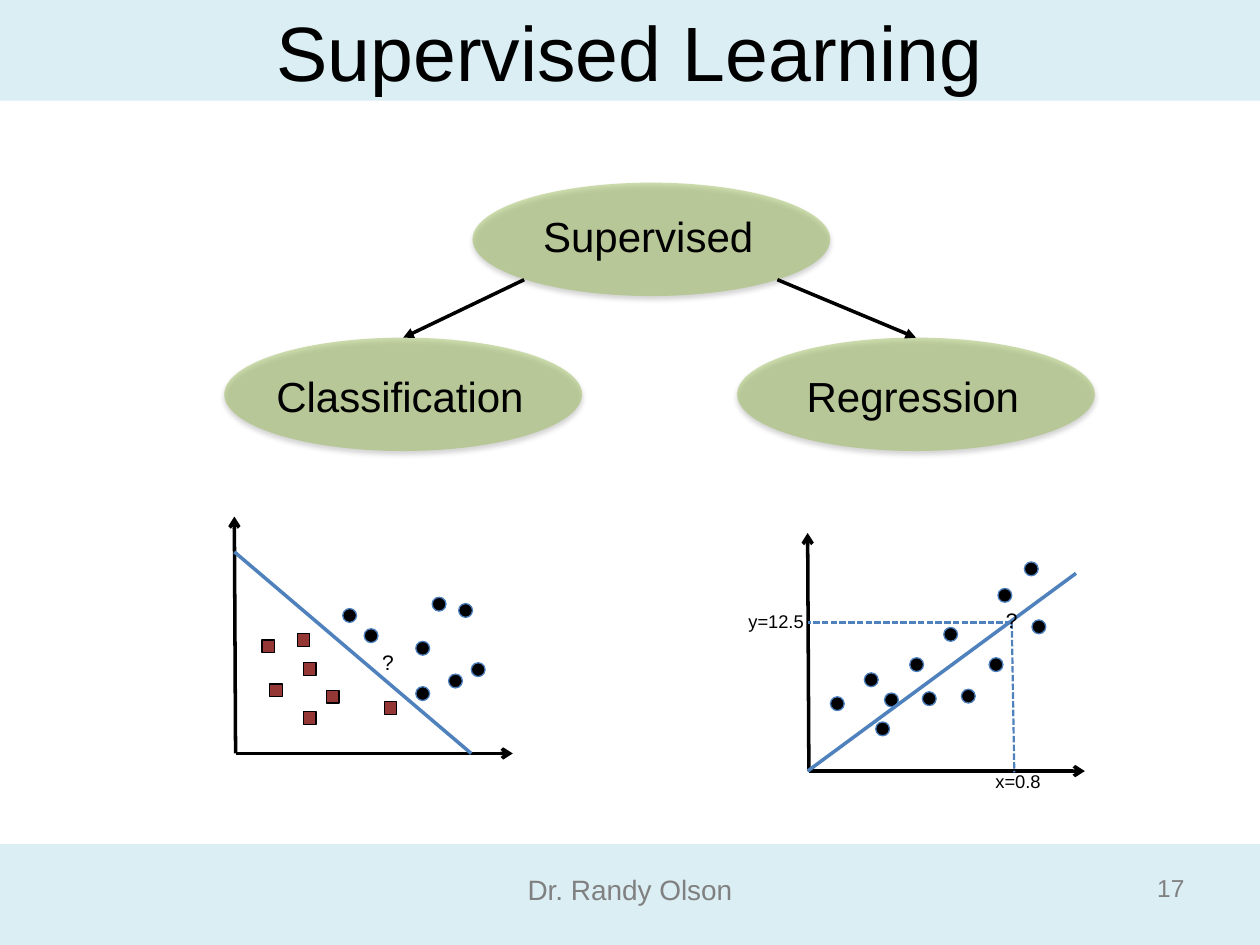
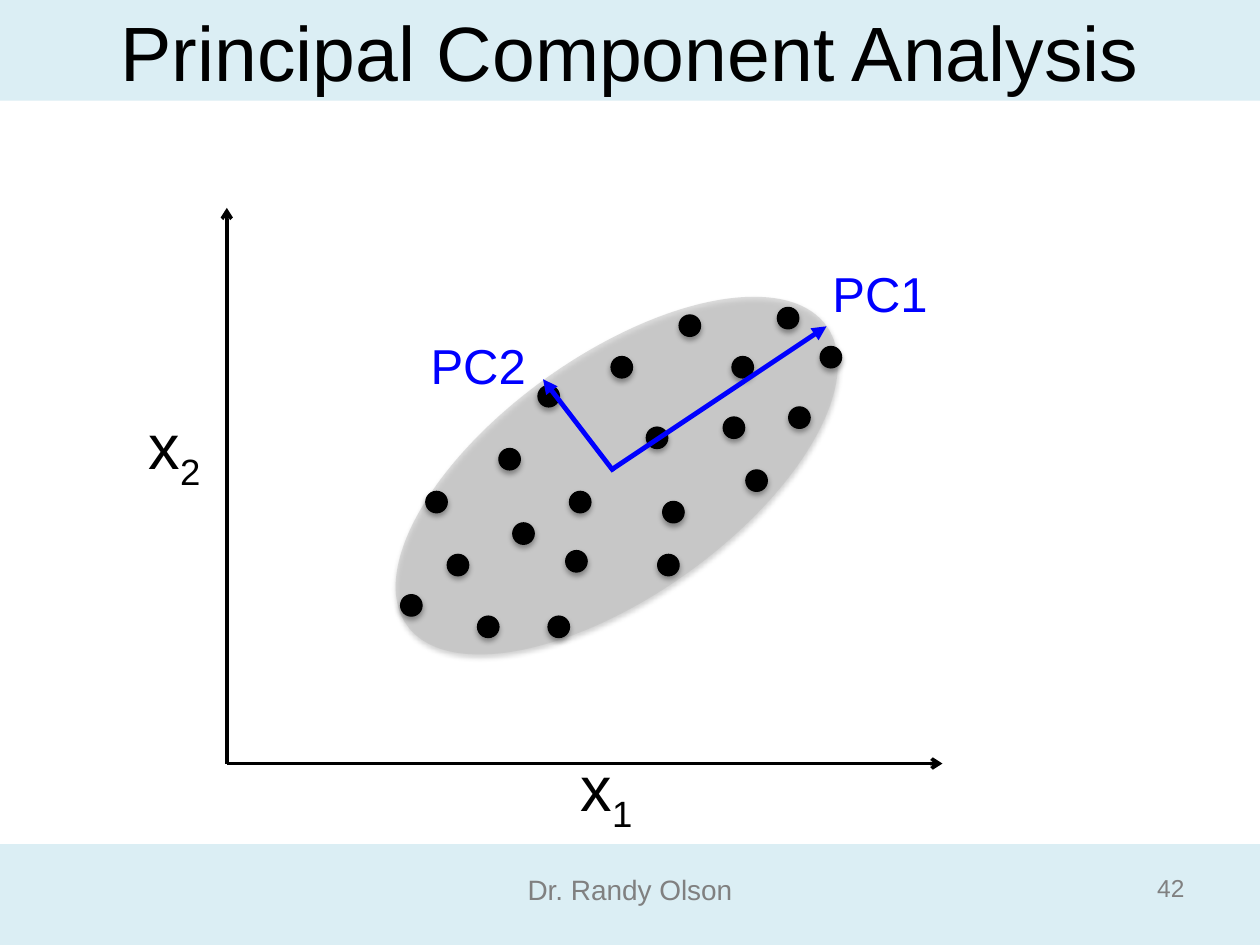
from pptx import Presentation
from pptx.dml.color import RGBColor
from pptx.enum.dml import MSO_LINE
from pptx.enum.shapes import MSO_CONNECTOR, MSO_SHAPE
from pptx.enum.text import MSO_ANCHOR, MSO_AUTO_SIZE, PP_ALIGN
from pptx.oxml.ns import qn
from pptx.util import Inches, Pt
from lxml.etree import SubElement

COLORS = {
    "band": "DBEEF4", "footer": "808080", "black": "000000", "node": "9BBB59",
    "trend": "4F81BD", "dot_line": "4B7EBC", "square": "953735",
    "cloud": "BFBFBF", "component": "0000FF",
}
FONT = "Arial"
TITLE_BOX = (0.5, -0.22, 9, 1.25)
NODE_SIZE = (2.84, 0.9)

CLASS_DOTS = [(1.44, 1.35), (1.7, 1.25), (1.44, 0.99), (1.57, 0.64),
              (1.78, 0.69), (1.88, 1.16), (0.86, 0.73), (1.03, 0.89)]
CLASS_SQUARES = [(0.22, 0.98), (0.28, 1.33), (0.55, 1.16), (1.19, 1.47),
                 (0.5, 0.93), (0.73, 1.38), (0.55, 1.55)]
REGRESSION_DOTS = [(0.18, 1.3), (0.45, 1.11), (0.61, 1.27), (0.81, 0.99),
                   (0.91, 1.26), (1.08, 0.75), (1.44, 0.99), (1.51, 0.44),
                   (1.22, 1.24), (1.78, 0.69), (1.72, 0.23), (0.54, 1.5)]
PCA_DOTS = [(1.75, 2.75), (2.16, 1.91), (3.05, 1.18), (4.01, 1.18), (3.33, 1.74),
            (3.42, 2.75), (4.12, 2.08), (4.46, 1.58), (4.71, 1.1), (4.37, 0.79),
            (3.59, 0.85), (2.47, 1.41), (2.55, 3.24), (2.72, 2.25), (3.46, 2.33),
            (2.69, 2.72), (2.27, 2.5), (1.99, 3.24), (1.38, 3.07), (1.58, 2.25),
            (3.94, 1.66)]


def rgb(name):
    """Return the named colour."""
    return RGBColor.from_string(COLORS[name])


def inches(*values):
    """Convert numbers to lengths."""
    return [Inches(value) for value in values]


def set_values(target, values):
    """Set attributes from a dict."""
    for name, value in values.items():
        setattr(target, name, value)


def format_text(frame, text, size, color="black", align=PP_ALIGN.CENTER):
    """Write one formatted paragraph in a text frame."""
    paragraph = frame.paragraphs[0]
    paragraph.alignment = align
    run = paragraph.add_run()
    run.text = text
    set_values(run.font, {"name": FONT, "size": Pt(size)})
    run.font.color.rgb = rgb(color)
    return paragraph


def add_label(slide, box, text, size, color="black", subscript="", **options):
    """Add a text box, with an optional subscript."""
    label = slide.shapes.add_textbox(*inches(*box))
    frame = label.text_frame
    align = options.pop("align", PP_ALIGN.CENTER)
    set_values(frame, {"word_wrap": True,
                       "auto_size": MSO_AUTO_SIZE.SHAPE_TO_FIT_TEXT} | options)
    format_text(frame, text, size, color, align)
    if subscript:
        format_text(frame, subscript, size, color, align)
        list(label.element.iter(qn("a:rPr")))[-1].set("baseline", "-25000")
    return label


def add_shadow(shape):
    """Give a shape a soft shadow below it."""
    effects = shape.element.spPr.find(qn("a:effectLst"))
    shadow = SubElement(effects, qn("a:outerShdw"), blurRad=str(Pt(3.1)),
                        dist=str(Pt(1.8)), dir="5400000", rotWithShape="0")
    color = SubElement(shadow, qn("a:srgbClr"), val=COLORS["black"])
    SubElement(color, qn("a:alpha"), val="35000")


def add_figure(slide, kind, box, fill, line=None, alpha=None, shadow=False):
    """Add a filled preset shape."""
    shape = slide.shapes.add_shape(kind, *inches(*box))
    shape.shadow.inherit = False
    shape.fill.solid()
    shape.fill.fore_color.rgb = rgb(fill)
    if alpha:
        color = shape.element.spPr.find(qn("a:solidFill"))[0]
        SubElement(color, qn("a:alpha"), val=str(alpha * 1000))
    if line:
        shape.line.color.rgb = rgb(line)
        shape.line.width = Pt(0.75)
    else:
        shape.line.fill.background()
    if shadow:
        add_shadow(shape)
    return shape


def add_line(slide, start, end, color="black", width=2, tail=None, dash=None):
    """Add a straight line with an optional arrowhead."""
    connector = slide.shapes.add_connector(
        MSO_CONNECTOR.STRAIGHT, *inches(*start, *end))
    connector.line.color.rgb = rgb(color)
    connector.line.width = Pt(width)
    if dash:
        connector.line.dash_style = dash
    properties = connector.element.spPr
    if tail:
        SubElement(properties.find(qn("a:ln")), qn("a:tailEnd"), type=tail)
    SubElement(properties, qn("a:effectLst"))
    return connector


def add_axes(slide, left, top, width, height, lean=0.0):
    """Draw two arrows from the lower left corner of a box."""
    origin = (left + lean, top + height)
    for end in ((left, top), (left + width, top + height)):
        add_line(slide, origin, end, tail="arrow")


def add_markers(slide, left, top, points, size, kind=MSO_SHAPE.OVAL,
                fill="black", line="dot_line", shadow=False):
    """Scatter equal markers relative to a corner."""
    for x, y in points:
        add_figure(slide, kind, (left + x, top + y, size, size), fill, line,
                   shadow=shadow)


def add_node(slide, left, top, text, text_top):
    """Draw one named ellipse of the tree."""
    node = add_figure(slide, MSO_SHAPE.OVAL, (left, top, *NODE_SIZE), "node",
                      alpha=49, shadow=True)
    add_label(slide, (left + 0.03, top + text_top, 2.73, 0.5), text, 24)
    return node


def add_tree(slide, left, top):
    """Draw the root and its two branches."""
    add_node(slide, left + 1.97, top, "Supervised", 0.17)
    for offset, text, start in ((0, "Classification", 2.38),
                                (4.07, "Regression", 4.39)):
        child = add_node(slide, left + offset, top + 1.23, text, 0.21)
        arrow = add_line(slide, (left + start, top + 0.77),
                         (left + offset + NODE_SIZE[0] / 2, top + 1.23),
                         tail="triangle")
        arrow.end_connect(child, 0)


def add_classification_plot(slide, left, top, width, height):
    """Draw two classes and the line between them."""
    add_axes(slide, left, top, width, height, lean=0.01)
    add_markers(slide, left, top, CLASS_DOTS, 0.11)
    add_line(slide, (left, top + 0.28), (left + 1.88, top + height), "trend")
    add_markers(slide, left, top, CLASS_SQUARES, 0.1, MSO_SHAPE.RECTANGLE,
                "square", "black")
    add_label(slide, (left + 1.04, top + 1.01, 0.36, 0.3), "?", 12)


def add_regression_plot(slide, left, top, width, height):
    """Draw points, their trend and one predicted value."""
    add_axes(slide, left, top, width, height, lean=0.01)
    add_markers(slide, left, top, REGRESSION_DOTS, 0.11)
    add_line(slide, (left, top + height), (left + 2.13, top + 0.32), "trend")
    for x, y in ((1.64, 1.9), (0, 0.71)):
        add_line(slide, (left + 1.62, top + 0.71), (left + x, top + y), "trend",
                 1.25, dash=MSO_LINE.SQUARE_DOT)
    for x, y, text in ((1, 1.83, "x=0.8"), (-0.92, 0.56, "y=12.5")):
        add_label(slide, (left + x, top + y, 1.34, 0.29), text, 10.5)
    add_label(slide, (left + 1.44, top + 0.54, 0.36, 0.3), "?", 12)


def add_pca_plot(slide, left, top, width, height):
    """Draw a cloud of points with its two components."""
    add_axes(slide, left, top, width, height)
    cloud = add_figure(slide, MSO_SHAPE.OVAL, (left + 1.05, top + 1.17, 4.09, 1.91),
                       "cloud", alpha=52, shadow=True)
    cloud.rotation = 324.5
    add_markers(slide, left, top, PCA_DOTS, 0.17, line="black", shadow=True)
    for x, y, index in ((2.46, 4.24, "1"), (-0.97, 1.53, "2")):
        add_label(slide, (left + x, top + y, 1.11, 0.71), "x", 36, subscript=index)
    for start, end, corner, text in (
            ((3.05, 2.08), (4.76, 0.94), (4.63, 0.39), "PC1"),
            ((3.07, 2.09), (2.51, 1.36), (1.44, 0.96), "PC2")):
        add_line(slide, (left + start[0], top + start[1]),
                 (left + end[0], top + end[1]), "component", 2.75, "triangle")
        add_label(slide, (left + corner[0], top + corner[1], 1.11, 0.57), text, 28,
                  "component")


def add_layout_bands(layout, slide):
    """Build the bands and footer once and move them to the layout."""
    parts = [add_figure(slide, MSO_SHAPE.RECTANGLE, (0, top, 10, 0.8), "band")
             for top in (6.7, 0)]
    parts.append(add_label(slide, (0.5, 6.88, 9, 0.37), "Dr. Randy Olson", 16,
                           "footer"))
    for position, part in enumerate(parts, 2):
        layout.element.cSld.spTree.insert(position, part.element)


def start_slide(presentation, layout, title, number):
    """Add a slide with its title and number."""
    slide = presentation.slides.add_slide(layout)
    shape = slide.shapes.title
    set_values(shape, dict(zip(("left", "top", "width", "height"),
                               inches(*TITLE_BOX))))
    shape.text_frame.vertical_anchor = MSO_ANCHOR.MIDDLE
    format_text(shape.text_frame, title, 44)
    add_label(slide, (8.74, 6.84, 0.76, 0.41), number, 14, "footer",
              align=PP_ALIGN.RIGHT, vertical_anchor=MSO_ANCHOR.MIDDLE,
              auto_size=MSO_AUTO_SIZE.NONE)
    return slide


def main():
    """Build and save the slides."""
    presentation = Presentation()
    set_values(presentation, {"slide_width": Inches(10), "slide_height": Inches(7.5)})
    layout = presentation.slide_layouts[5]

    slide = start_slide(presentation, layout, "Supervised Learning", "17")
    add_layout_bands(layout, slide)
    add_tree(slide, 1.78, 1.45)
    add_regression_plot(slide, 6.41, 4.23, 2.2, 1.89)
    add_classification_plot(slide, 1.86, 4.1, 2.21, 1.88)

    slide = start_slide(presentation, layout, "Principal Component Analysis", "42")
    add_pca_plot(slide, 1.8, 1.65, 5.68, 4.41)
    presentation.save("out.pptx")


if __name__ == "__main__":
    main()
